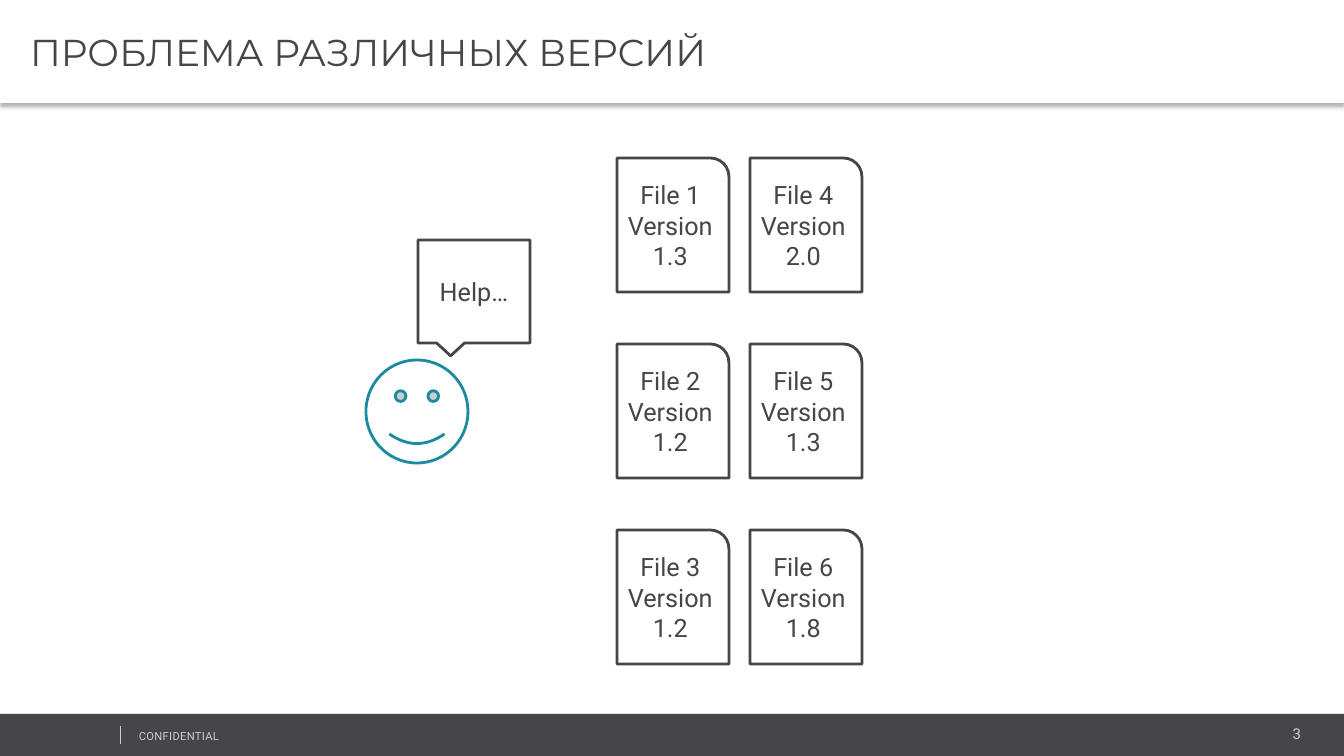
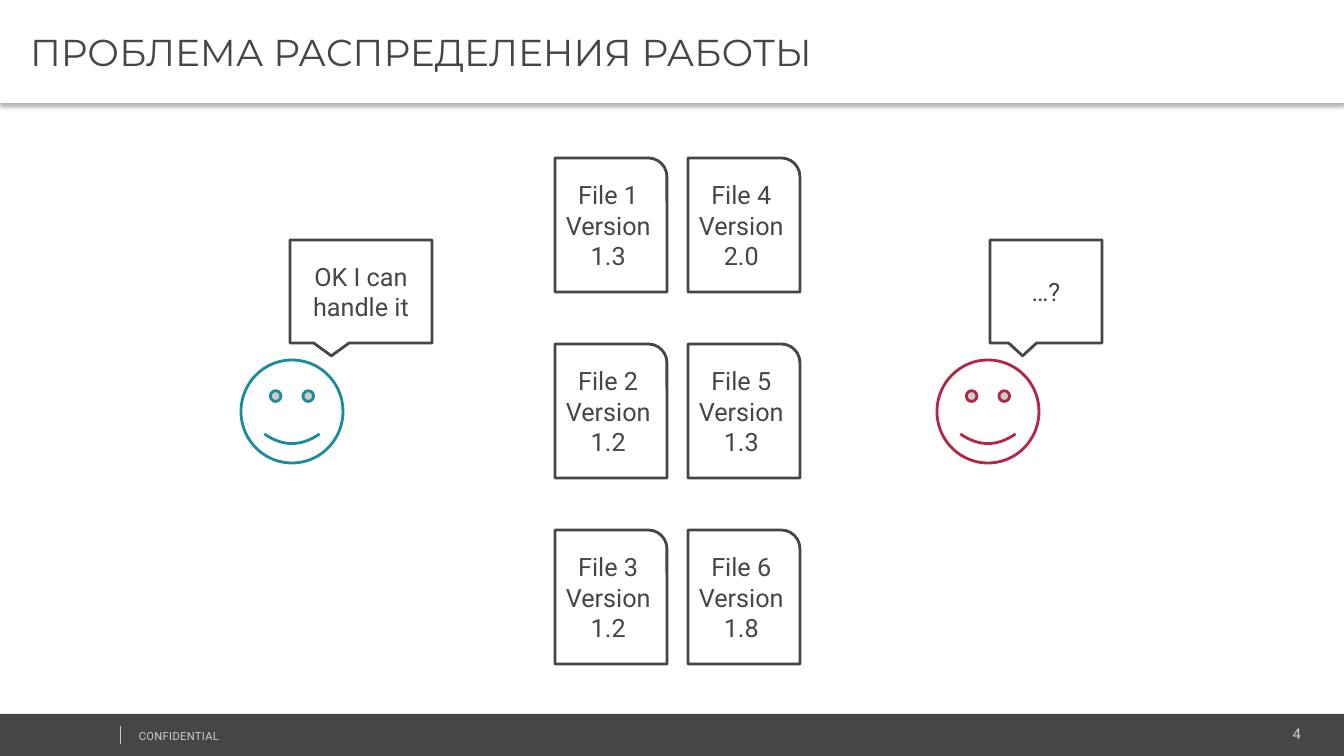
from lxml.etree import SubElement
from pptx import Presentation
from pptx.dml.color import RGBColor
from pptx.enum.shapes import MSO_CONNECTOR, MSO_SHAPE
from pptx.enum.text import MSO_ANCHOR, PP_ALIGN
from pptx.oxml.ns import qn
from pptx.util import Pt

PX = 9071  # EMU in one px, at 100.8 px to the inch
WIDTH, HEIGHT = 1344, 756

COLORS = {
    "ink": "464547",
    "paper": "FFFFFF",
    "muted": "CCCCCC",
    "teal": "1B8BA0",
    "crimson": "B22746",
    "shadow": "000000",
}
TEXT_STYLES = {
    "title": {"name": "Montserrat", "size": Pt(26.7), "color": "ink", "align": PP_ALIGN.LEFT},
    "body": {"name": "Roboto", "size": Pt(18), "color": "ink", "align": PP_ALIGN.CENTER},
    "number": {"name": "Roboto", "size": Pt(10.7), "color": "muted", "align": PP_ALIGN.RIGHT},
    "label": {"name": "Roboto", "size": Pt(8), "color": "muted", "align": PP_ALIGN.LEFT},
}
TITLE_FRAME = {
    "margin_left": 30 * PX,
    "margin_top": 4 * PX,
    "margin_right": 7 * PX,
    "margin_bottom": 4 * PX,
}

VERSIONS = ["1.3", "1.2", "1.2", "2.0", "1.3", "1.8"]
ROWS = 3
FILE_TOP, FILE_WIDTH, FILE_HEIGHT = 158, 112, 134
COLUMN_STEP, ROW_STEP = 133, 186
FACE_TOP, FACE_WIDTH = 360, 102
SPEECH_TOP, PERSON_HEIGHT = 240, 103

# Each person: face left, face color, speech left, speech width, speech
SLIDES = [
    {
        "number": 3,
        "title": "ПРОБЛЕМА РАЗЛИЧНЫХ ВЕРСИЙ",
        "files_left": 617,
        "people": [(366, "teal", 418, 112, "Help…")],
    },
    {
        "number": 4,
        "title": "ПРОБЛЕМА РАСПРЕДЕЛЕНИЯ РАБОТЫ",
        "files_left": 555,
        "people": [
            (241, "teal", 290, 142, "OK I can handle it"),
            (937, "crimson", 990, 112, "…?"),
        ],
    },
]


def add_shape(slide, preset, box, fill="paper", line=None):
    shape = slide.shapes.add_shape(preset, *(length * PX for length in box))
    shape.shadow.inherit = False
    shape.fill.solid()
    shape.fill.fore_color.rgb = RGBColor.from_string(COLORS[fill])
    if line:
        shape.line.color.rgb = RGBColor.from_string(COLORS[line])
        shape.line.width = Pt(2)
    else:
        shape.line.fill.background()
    return shape


def write(shape, lines, style_name, anchor=MSO_ANCHOR.MIDDLE):
    """Fill a shape with one paragraph per line."""
    style = TEXT_STYLES[style_name]
    frame = shape.text_frame
    frame.word_wrap = True
    frame.vertical_anchor = anchor
    frame.text = "\n".join(lines)
    for paragraph in frame.paragraphs:
        paragraph.alignment = style["align"]
        font = paragraph.runs[0].font
        for attribute in ("name", "size"):
            setattr(font, attribute, style[attribute])
        font.color.rgb = RGBColor.from_string(COLORS[style["color"]])
    return frame


deck = Presentation()
deck.slide_width, deck.slide_height = WIDTH * PX, HEIGHT * PX

for content in SLIDES:
    slide = deck.slides.add_slide(deck.slide_layouts[6])

    # Footer
    add_shape(slide, MSO_SHAPE.RECTANGLE, (0, 714, WIDTH, 42), fill="ink")
    number = slide.shapes.add_textbox(1091 * PX, 720 * PX, 220 * PX, 28 * PX)
    write(number, [str(content["number"])], "number", MSO_ANCHOR.TOP)
    label = slide.shapes.add_textbox(129 * PX, 724 * PX, 341 * PX, 24 * PX)
    label_frame = write(label, ["CONFIDENTIAL"], "label", MSO_ANCHOR.TOP)
    label_frame.paragraphs[0].runs[0]._r.get_or_add_rPr().set("spc", "20")
    divider = slide.shapes.add_connector(
        MSO_CONNECTOR.STRAIGHT, 120 * PX, 726 * PX, 120 * PX, 744 * PX
    )
    divider.line.color.rgb = RGBColor.from_string(COLORS["muted"])
    divider.line.width = Pt(0.25)
    SubElement(divider._element.spPr, qn("a:effectLst"))

    # Title band with a soft shadow below it
    title = add_shape(slide, MSO_SHAPE.RECTANGLE, (0, 0, WIDTH, 103))
    title_frame = write(title, [content["title"]], "title")
    for attribute, value in TITLE_FRAME.items():
        setattr(title_frame, attribute, value)
    effects = title._element.spPr.find(qn("a:effectLst"))
    shadow = SubElement(
        effects, qn("a:outerShdw"),
        blurRad=str(Pt(3.1)), dist=str(Pt(2)), dir="5400000", rotWithShape="0",
    )
    shadow_color = SubElement(shadow, qn("a:srgbClr"), val=COLORS["shadow"])
    SubElement(shadow_color, qn("a:alpha"), val="30000")

    # Files, numbered down each column
    for index, version in enumerate(VERSIONS):
        column, row = divmod(index, ROWS)
        left = content["files_left"] + column * COLUMN_STEP
        top = FILE_TOP + row * ROW_STEP
        file_card = add_shape(
            slide, MSO_SHAPE.ROUND_1_RECTANGLE,
            (left, top, FILE_WIDTH, FILE_HEIGHT), line="ink",
        )
        write(file_card, [f"File {index + 1}", f"Version {version}"], "body")

    # People and what they say
    for face_left, face_color, speech_left, speech_width, speech in content["people"]:
        add_shape(
            slide, MSO_SHAPE.SMILEY_FACE,
            (face_left, FACE_TOP, FACE_WIDTH, PERSON_HEIGHT), line=face_color,
        )
        bubble = add_shape(
            slide, MSO_SHAPE.RECTANGULAR_CALLOUT,
            (speech_left, SPEECH_TOP, speech_width, PERSON_HEIGHT), line="ink",
        )
        write(bubble, [speech], "body")

deck.save("out.pptx")
